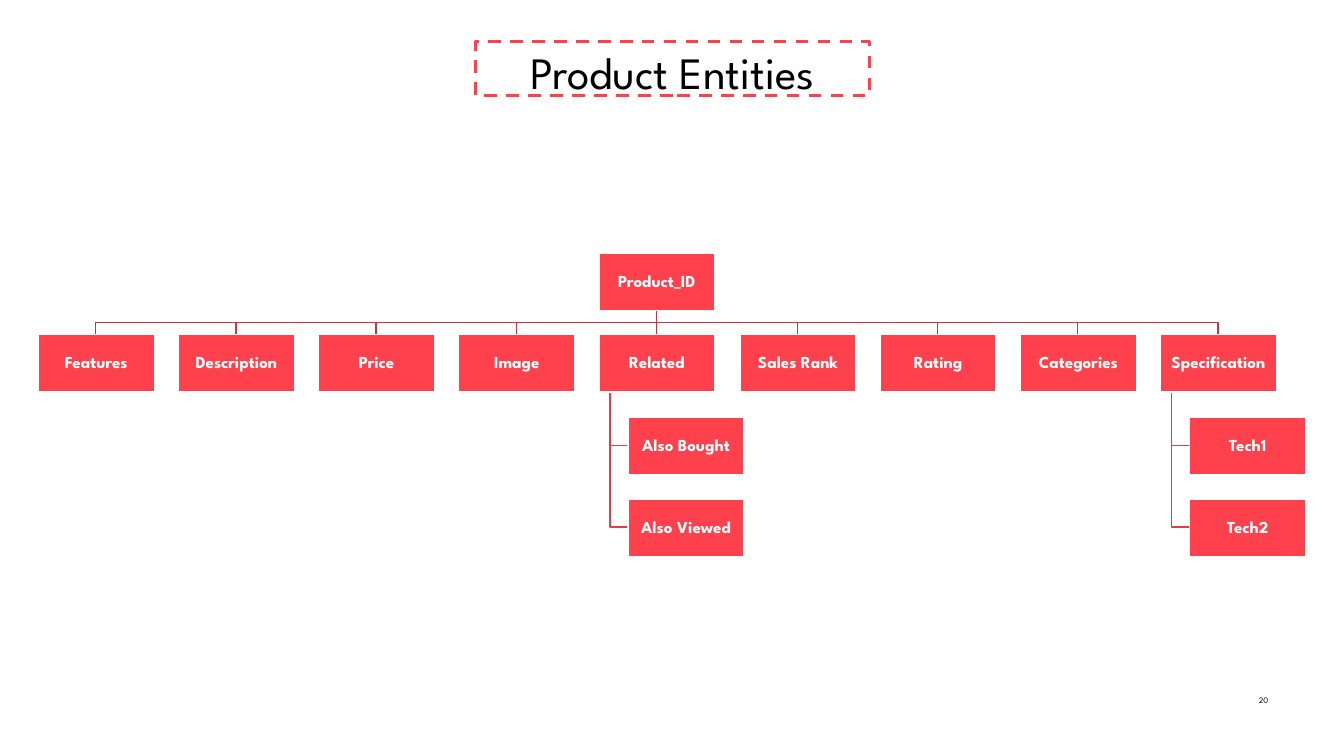
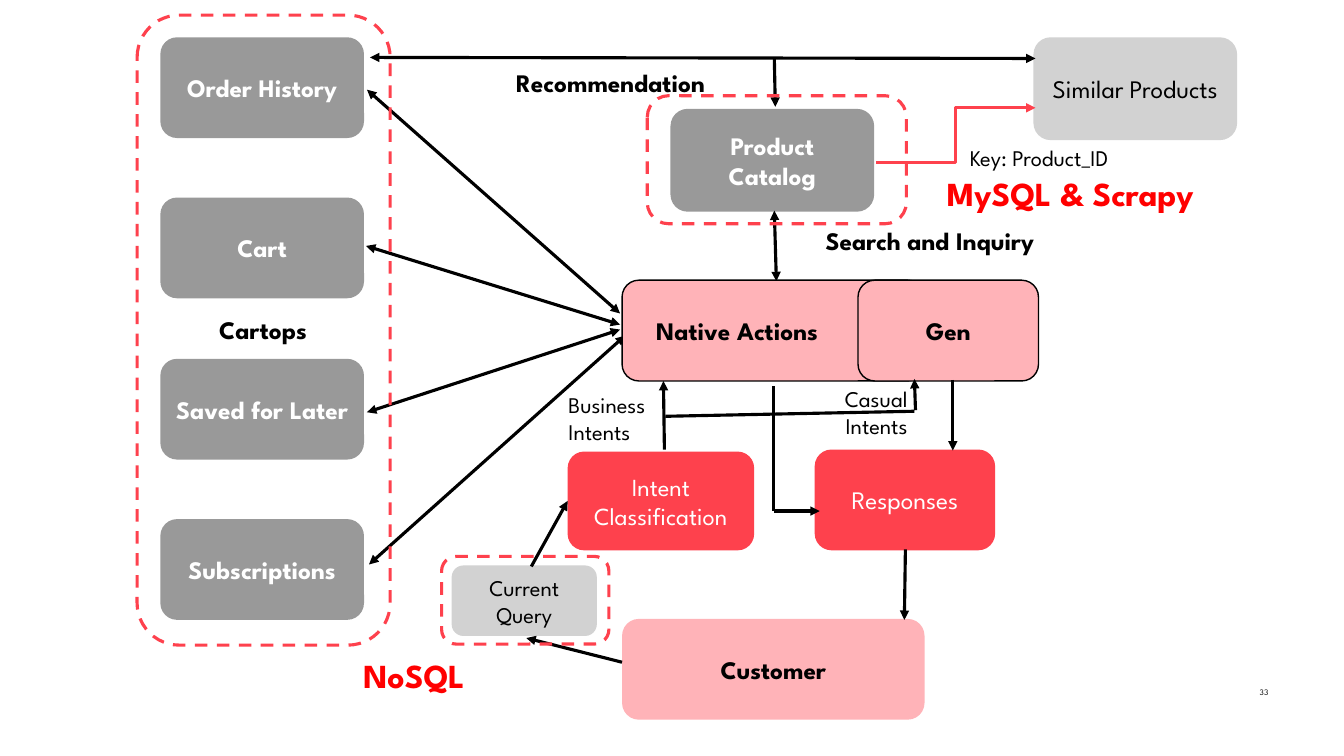
from dataclasses import dataclass
from typing import NamedTuple

from lxml.etree import SubElement
from pptx import Presentation
from pptx.dml.color import RGBColor
from pptx.enum.dml import MSO_LINE as Dash
from pptx.enum.shapes import MSO_CONNECTOR as Link, MSO_SHAPE as Kind
from pptx.enum.text import MSO_ANCHOR as Anchor, MSO_AUTO_SIZE as Fit, PP_ALIGN as Align
from pptx.oxml.ns import qn
from pptx.util import Pt

PX = 9144


@dataclass(frozen=True)
class Theme:
    """Colours, font and type sizes of the deck."""
    font: str = "League Spartan"
    red: str = "FE414D"
    stem: str = "E73B46"
    bus: str = "CB343E"
    pink: str = "FFB3B8"
    dark: str = "999999"
    light: str = "D2D2D2"
    alert: str = "FF0000"
    black: str = "000000"
    white: str = "FFFFFF"
    tiny: float = 6
    small: float = 12
    note: float = 16
    snug: float = 17.5
    body: float = 18
    tag: float = 24
    title: float = 32
    thin: float = 1
    thick: float = 2.25


T = Theme()


class Box(NamedTuple):
    """A rectangle in px."""
    x: int
    y: int
    w: int
    h: int

    def sub(self, dx, dy, w, h):
        """Return a box placed relative to this one."""
        return Box(self.x + dx, self.y + dy, w, h)

    def spot(self, point):
        """Return a point given relative to this box."""
        return self.x + point[0], self.y + point[1]

    def emu(self):
        """Return the four lengths in EMU."""
        return [v * PX for v in self]


def write(shape, text, *, size=T.body, color=T.black, bold=False, align=Align.CENTER,
          anchor=Anchor.MIDDLE, pad=(10, 5, 10, 5), lead=None):
    """Put formatted text into a shape."""
    frame = shape.text_frame
    frame.word_wrap, frame.auto_size = True, Fit.NONE
    frame.vertical_anchor = anchor
    (frame.margin_left, frame.margin_top,
     frame.margin_right, frame.margin_bottom) = [v * PX for v in pad]
    para = frame.paragraphs[0]
    para.alignment = align
    if lead:
        para.line_spacing = lead
    run = para.add_run()
    run.text = text
    run.font.name, run.font.size, run.font.bold = T.font, Pt(size), bold
    run.font.color.rgb = RGBColor.from_string(color)


def label(slide, box, text, **form):
    """Add a text box."""
    form = {"anchor": Anchor.TOP, **form}
    write(slide.shapes.add_textbox(*box.emu()), text, **form)


def edge(shape, color, width=T.thick, dash=None):
    """Set the outline of a shape or line."""
    shape.line.color.rgb = RGBColor.from_string(color)
    shape.line.width = Pt(width)
    if dash:
        shape.line.dash_style = dash


def panel(slide, box, text, fill, *, kind=Kind.ROUNDED_RECTANGLE, rim=None, **form):
    """Add a filled box with text."""
    shape = slide.shapes.add_shape(kind, *box.emu())
    shape.shadow.inherit = False
    shape.fill.solid()
    shape.fill.fore_color.rgb = RGBColor.from_string(fill)
    if rim:
        edge(shape, rim, T.thin)
    else:
        shape.line.fill.background()
    write(shape, text, **form)


def fence(slide, box):
    """Add a dashed rounded outline."""
    shape = slide.shapes.add_shape(Kind.ROUNDED_RECTANGLE, *box.emu())
    shape.shadow.inherit = False
    shape.fill.background()
    edge(shape, T.red, dash=Dash.DASH)


def wire(slide, start, end, *, ends=("tailEnd",), color=T.black, width=T.thick,
         kind=Link.STRAIGHT):
    """Add a connector with optional arrowheads."""
    line = slide.shapes.add_connector(kind, *[v * PX for v in (*start, *end)])
    edge(line, color, width)
    props = line.element.spPr
    for end_tag in ends:
        SubElement(props.find(qn("a:ln")), qn("a:" + end_tag)).set("type", "triangle")
    SubElement(props, qn("a:effectLst"))


def bend(slide, points, color):
    """Add a thin open line through points."""
    draft = slide.shapes.build_freeform(*points[0], scale=PX)
    draft.add_line_segments(points[1:], close=False)
    shape = draft.convert_to_shape()
    shape.shadow.inherit = False
    shape.fill.background()
    edge(shape, color, T.thin)


def head(slide, box, text):
    """Place the dashed title."""
    title = slide.shapes.title
    title.left, title.top, title.width, title.height = box.emu()
    edge(title, T.red, dash=Dash.DASH)
    write(title, text, size=T.title, pad=(0, 0, 0, 0), lead=1.1)


def page(slide, box, text):
    """Place the page number."""
    label(slide, box, text, size=T.tiny, align=Align.RIGHT,
          anchor=Anchor.MIDDLE, pad=(0, 0, 0, 0))


def tree(slide, box, root, groups):
    """Draw a root, a row of groups and their children."""
    wide, high, inset, stem = 115, 57, 29, 11
    step = (box.w - wide - inset) / (len(groups) - 1)

    def cell(col, row, shift=0):
        return box.sub(round(col * step) + shift, row * 163 // 2, wide, high)

    def mid(node):
        return node.x + wide // 2

    top = cell((len(groups) - 1) / 2, 0)
    nodes = [(root, top)]
    for col, (name, kids) in enumerate(groups.items()):
        node = cell(col, 1)
        nodes.append((name, node))
        start, end = (mid(top), top.y + high), (mid(node), node.y)
        if start[0] == end[0]:
            wire(slide, start, end, ends=(), color=T.bus, width=T.thin)
        else:
            turn = (start[1] + end[1]) // 2
            bend(slide, [start, (start[0], turn), (end[0], turn), end], T.bus)
        for row, kid in enumerate(kids, 2):
            leaf = cell(col, row, inset)
            nodes.append((kid, leaf))
            x, y = node.x + stem, leaf.y + high // 2
            bend(slide, [(x, node.y + high), (x, y), (leaf.x, y)], T.stem)
    for name, node in nodes:
        panel(slide, node, name, T.red, kind=Kind.RECTANGLE, rim=T.white,
              size=T.small, color=T.white, bold=True, pad=(1, 1, 1, 1), lead=0.9)


def store(slide, box):
    """Draw the customer records and their links to the actions."""
    names = "Order History", "Cart", "Saved for Later", "Subscriptions"
    for i, name in enumerate(names):
        panel(slide, box.sub(23, 22 + round(i * 159.4), 202, 100), name, T.dark,
              color=T.white, bold=True)
    label(slide, box.sub(-25, 292, 300, 40), "Cartops", bold=True, anchor=Anchor.MIDDLE)
    label(slide, box.sub(160, 630, 229, 50), "NoSQL", size=T.tag, color=T.alert, bold=True)
    for start, end in (((479, 296), (228, 74)), ((479, 307), (227, 229)),
                       ((479, 312), (228, 394)), ((484, 318), (230, 545))):
        wire(slide, box.spot(start), box.spot(end), ends=("headEnd", "tailEnd"))
    fence(slide, box)


def shop(slide, box):
    """Draw the catalog and similar products."""
    panel(slide, box.sub(163, 71, 202, 102), "Product Catalog", T.dark,
          color=T.white, bold=True)
    panel(slide, box.sub(523, 0, 202, 102), "Similar Products", T.light)
    both = "headEnd", "tailEnd"
    wire(slide, box.spot((266, 172)), box.spot((268, 242)), ends=both)
    wire(slide, box.spot((-135, 20)), box.spot((525, 21)), ends=both)
    wire(slide, box.spot((266, 21)), box.spot((267, 69)))
    wire(slide, box.spot((367, 124)), box.spot((525, 70)), color=T.red, kind=Link.ELBOW)
    fence(slide, box.sub(140, 58, 257, 127))
    for dx, dy, text in (0, 25, "Recommendation"), (307, 182, "Search and Inquiry"):
        label(slide, box.sub(dx, dy, 300, 40), text, bold=True, align=Align.LEFT)
    label(slide, box.sub(450, 101, 196, 37), "Key: Product_ID", size=T.note,
          align=Align.LEFT)
    label(slide, box.sub(397, 130, 325, 50), "MySQL & Scrapy", size=T.tag,
          color=T.alert, bold=True)


def chat(slide, box):
    """Draw the path from customer query to response."""
    panel(slide, box.sub(179, 336, 300, 100), "Customer", T.pink, bold=True)
    panel(slide, box.sub(179, 0, 300, 100), "Native Actions", T.pink, rim=T.black,
          bold=True, align=Align.LEFT, pad=(29, 5, 10, 5))
    panel(slide, box.sub(413, 0, 179, 100), "Gen", T.pink, rim=T.black, bold=True)
    panel(slide, box.sub(125, 170, 185, 98), "Intent Classification", T.red,
          size=T.snug, color=T.white)
    panel(slide, box.sub(370, 168, 179, 100), "Responses", T.red, color=T.white)
    panel(slide, box.sub(10, 283, 144, 70), "Current Query", T.light, size=T.note)
    for start, end in (((507, 99), (507, 169)), ((460, 267), (459, 337)),
                       ((221, 168), (220, 100)), ((470, 129), (469, 98)),
                       ((330, 229), (375, 229)), ((179, 379), (84, 355)),
                       ((89, 284), (125, 219))):
        wire(slide, box.spot(start), box.spot(end))
    for start, end in ((222, 135), (469, 130)), ((329, 105), (329, 229)):
        wire(slide, box.spot(start), box.spot(end), ends=())
    label(slide, box.sub(116, 105, 146, 64), "Business Intents", size=T.note,
          align=Align.LEFT)
    label(slide, box.sub(326, 99, 146, 64), "Casual Intents", size=T.note,
          align=Align.RIGHT)
    fence(slide, box.sub(0, 274, 166, 87))


def main():
    """Build and save the deck."""
    deck = Presentation()
    deck.slide_width, deck.slide_height = 1333 * PX, 750 * PX

    slide = deck.slides.add_slide(deck.slide_layouts[5])
    head(slide, Box(472, 41, 390, 54), "Product Entities")
    tree(slide, Box(38, 251, 1257, 301), "Product_ID", {
        "Features": [], "Description": [], "Price": [], "Image": [],
        "Related": ["Also Bought", "Also Viewed"],
        "Sales Rank": [], "Rating": [], "Categories": [],
        "Specification": ["Tech1", "Tech2"]})
    page(slide, Box(1228, 690, 30, 10), "20")

    slide = deck.slides.add_slide(deck.slide_layouts[6])
    store(slide, Box(136, 15, 251, 625))
    shop(slide, Box(502, 37, 725, 222))
    chat(slide, Box(438, 278, 592, 436))
    page(slide, Box(1228, 682, 30, 10), "33")

    deck.save("out.pptx")


if __name__ == "__main__":
    main()
